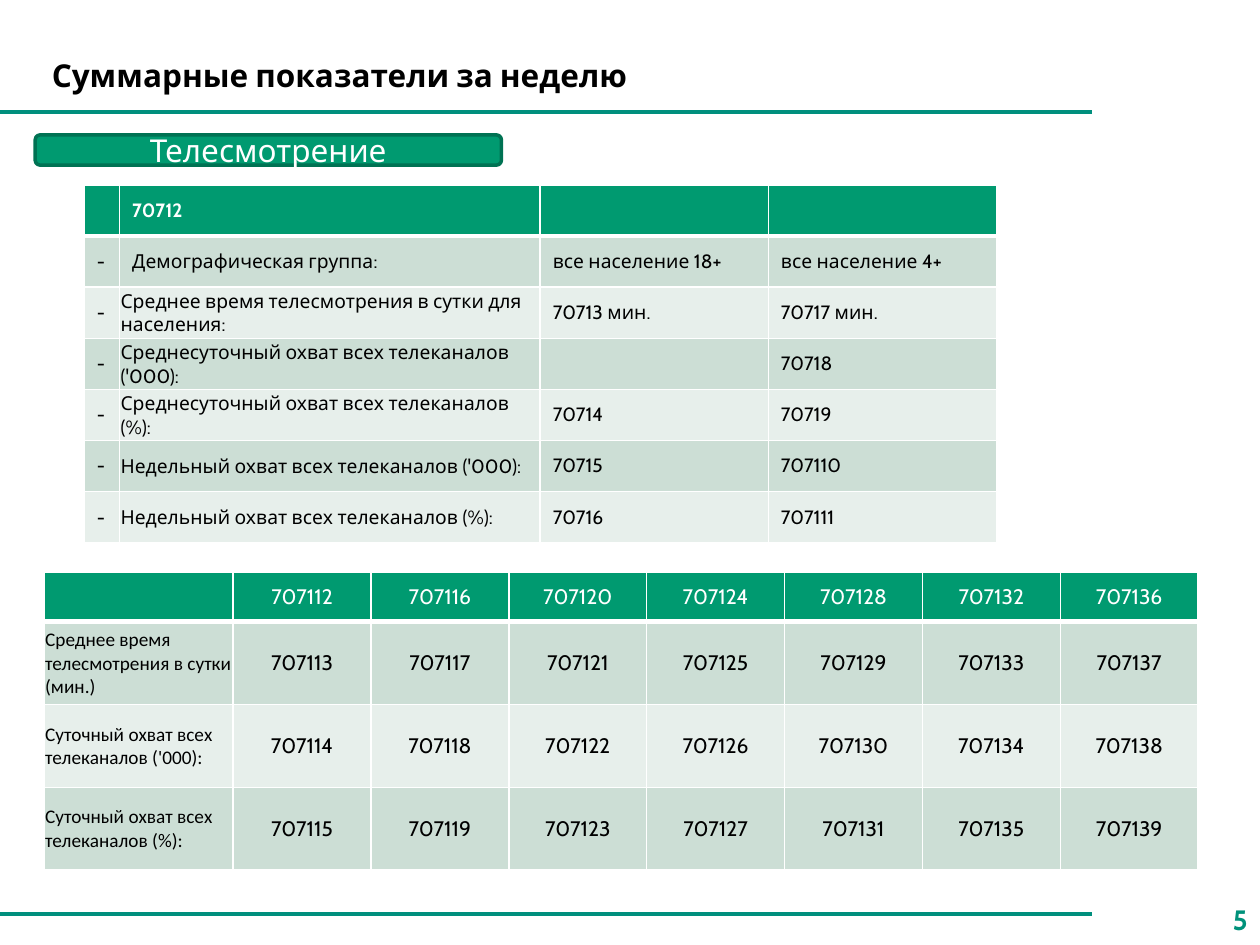
from lxml import etree
from pptx import Presentation
from pptx.dml.color import RGBColor
from pptx.enum.shapes import MSO_CONNECTOR, MSO_SHAPE
from pptx.enum.text import MSO_ANCHOR, PP_ALIGN
from pptx.oxml.ns import qn
from pptx.util import Cm, Pt

STRAIGHT = MSO_CONNECTOR.STRAIGHT
ROUNDED = MSO_SHAPE.ROUNDED_RECTANGLE
MIDDLE = MSO_ANCHOR.MIDDLE
LEFT, CENTER, RIGHT = PP_ALIGN.LEFT, PP_ALIGN.CENTER, PP_ALIGN.RIGHT

GREEN, DARK_GREEN, TEAL, NUMBER_TEAL = "009A70", "007253", "008F7D", "00927B"
BANDS = ("CCDED5", "E7EFEB")
BLACK, WHITE = "000000", "FFFFFF"
FONT, LABEL_FONT = "Cabin", "Calibri"

WEEK_ROWS = [
    ("", "70712", "", ""),
    ("-", "Демографическая группа:", "все население 18+", "все население 4+"),
    ("-", "Среднее время телесмотрения в сутки для населения:",
     "70713 мин.", "70717 мин."),
    ("-", "Среднесуточный охват всех телеканалов ('000):", "", "70718"),
    ("-", "Среднесуточный охват всех телеканалов (%):", "70714", "70719"),
    ("-", "Недельный охват всех телеканалов ('000):", "70715", "707110"),
    ("-", "Недельный охват всех телеканалов (%):", "70716", "707111"),
]
DAY_LABELS = [
    "",
    "Среднее время телесмотрения в сутки (мин.)",
    "Суточный охват всех телеканалов ('000):",
    "Суточный охват всех телеканалов (%):",
]
DAYS = 7
FIRST_DAY_CODE = 707112


def color(value):
    return RGBColor.from_string(value)


def write(text_frame, text, size, font_color, align=LEFT, bold=False, font=FONT):
    text_frame.text = text
    paragraph = text_frame.paragraphs[0]
    paragraph.alignment = align
    for run in paragraph.runs:
        run.font.size = Pt(size)
        run.font.name = font
        run.font.bold = bold
        run.font.color.rgb = color(font_color)
    if not text:
        # An empty cell needs a text size too, or its row grows.
        end = etree.SubElement(paragraph._p, qn("a:endParaRPr"))
        end.set("sz", str(size * 100))


def set_borders(cell, is_header):
    properties = cell._tc.get_or_add_tcPr()
    widths = {"a:lnL": 1, "a:lnR": 1, "a:lnT": 1, "a:lnB": 3 if is_header else 1}
    for index, (tag, width) in enumerate(widths.items()):
        line = etree.Element(qn(tag), w=str(Pt(width)))
        fill = etree.SubElement(line, qn("a:solidFill"))
        etree.SubElement(fill, qn("a:srgbClr"), val=WHITE)
        properties.insert(index, line)


def add_grid(slide, left, top, widths, heights):
    """Add a table with a green header, banded rows and white borders."""
    frame = slide.shapes.add_table(
        len(heights), len(widths), Cm(left), Cm(top),
        Cm(sum(widths)), Cm(sum(heights)))
    table = frame.table
    for column, width in zip(table.columns, widths):
        column.width = Cm(width)
    for index, (row, height) in enumerate(zip(table.rows, heights)):
        row.height = Cm(height)
        for cell in row.cells:
            cell.fill.solid()
            cell.fill.fore_color.rgb = color(
                BANDS[(index - 1) % 2] if index else GREEN)
            cell.vertical_anchor = MIDDLE
            set_borders(cell, is_header=index == 0)
    return table


def tighten(cell):
    cell.margin_left = cell.margin_top = cell.margin_right = Cm(0.02)
    cell.margin_bottom = 0


def add_week_table(slide, left, top):
    table = add_grid(slide, left, top, [0.71, 8.48, 4.6, 4.6],
                     [1.03] * len(WEEK_ROWS))
    for row, texts in enumerate(WEEK_ROWS):
        for column, text in enumerate(texts):
            cell = table.cell(row, column)
            write(cell.text_frame, text, 11, BLACK if row else WHITE,
                  bold=row == 0)
            if row > 1 and column == 1:
                tighten(cell)


def add_day_table(slide, left, top):
    """Codes run down each day's column, then on to the next day."""
    table = add_grid(slide, left, top, [3.81] + [2.78] * DAYS, [1] + [1.67] * 3)
    for row, label in enumerate(DAY_LABELS):
        label_cell = table.cell(row, 0)
        write(label_cell.text_frame, label, 11, BLACK, font=LABEL_FONT)
        if row:
            tighten(label_cell)
        for day in range(DAYS):
            code = FIRST_DAY_CODE + day * len(DAY_LABELS) + row
            write(table.cell(row, day + 1).text_frame, str(code), 12,
                  BLACK if row else WHITE, CENTER)


def add_rule(slide, top, width):
    rule = slide.shapes.add_connector(STRAIGHT, 0, Cm(top), Cm(width), Cm(top))
    rule.line.color.rgb = color(TEAL)
    rule.line.width = Pt(2)
    etree.SubElement(rule._element.spPr, qn("a:effectLst"))


def place_title(slide, left, top, width, height):
    title = slide.shapes.title
    title.left, title.top = Cm(left), Cm(top)
    title.width, title.height = Cm(width), Cm(height)
    title.text_frame.vertical_anchor = MIDDLE
    write(title.text_frame, "Суммарные показатели за неделю", 18, BLACK, bold=True)


def add_section_label(slide, left, top, width, height):
    label = slide.shapes.add_shape(
        ROUNDED, Cm(left), Cm(top), Cm(width), Cm(height))
    label.shadow.inherit = False
    label.fill.solid()
    label.fill.fore_color.rgb = color(GREEN)
    label.line.color.rgb = color(DARK_GREEN)
    label.line.width = Pt(2)
    label.text_frame.vertical_anchor = MIDDLE
    write(label.text_frame, "Телесмотрение", 18, WHITE, CENTER)


def add_page_number(slide, left, top, width, height):
    box = slide.shapes.add_textbox(Cm(left), Cm(top), Cm(width), Cm(height))
    box.text_frame.word_wrap = True
    box.text_frame.vertical_anchor = MIDDLE
    write(box.text_frame, "5", 16, NUMBER_TEAL, RIGHT, bold=True)


def main():
    presentation = Presentation()
    presentation.slide_width, presentation.slide_height = Cm(25.4), Cm(19.05)
    slide = presentation.slides.add_slide(presentation.slide_layouts[5])
    for top in (2.26, 18.42):
        add_rule(slide, top, 22.02)
    add_page_number(slide, 24.08, 18.03, 1.32, 1.02)
    place_title(slide, 0.79, 0.99, 21.64, 1.02)
    add_week_table(slide, 1.7, 3.73)
    add_day_table(slide, 0.89, 11.53)
    add_section_label(slide, 0.71, 2.72, 9.4, 0.61)
    presentation.save("out.pptx")


if __name__ == "__main__":
    main()
